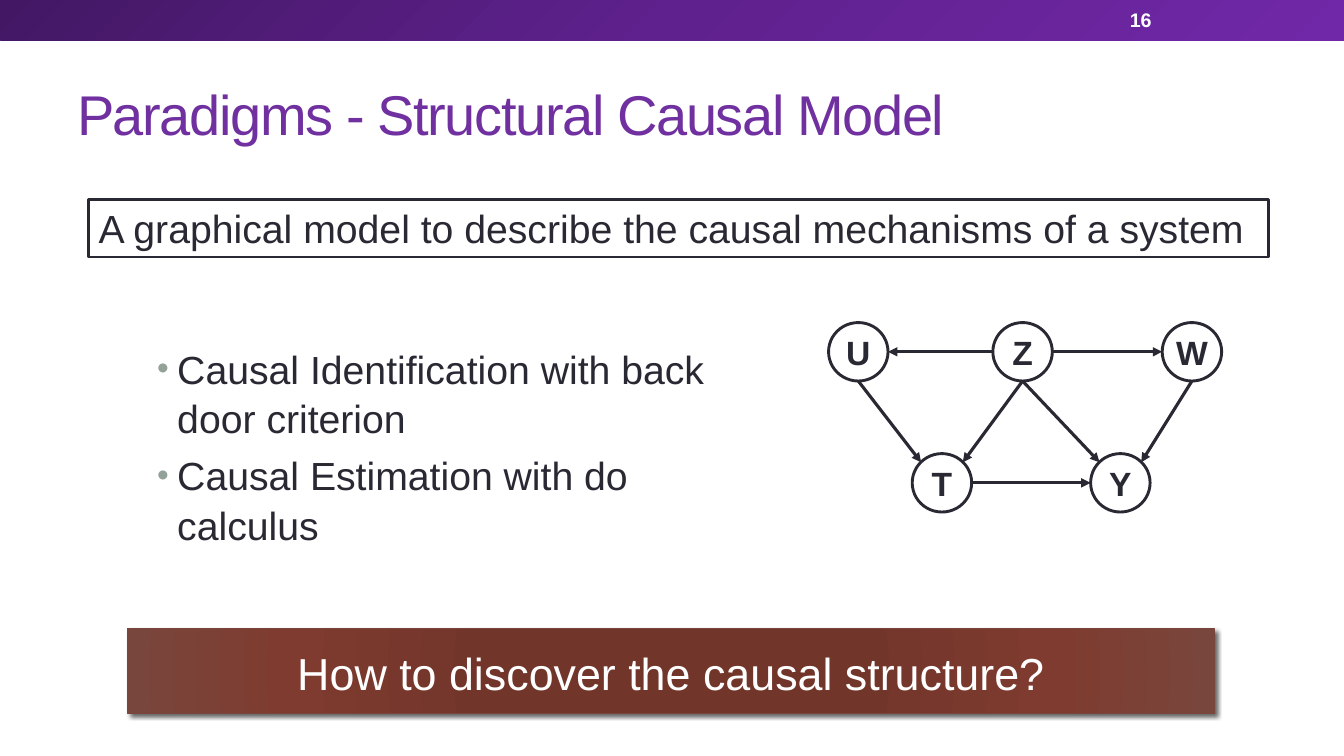
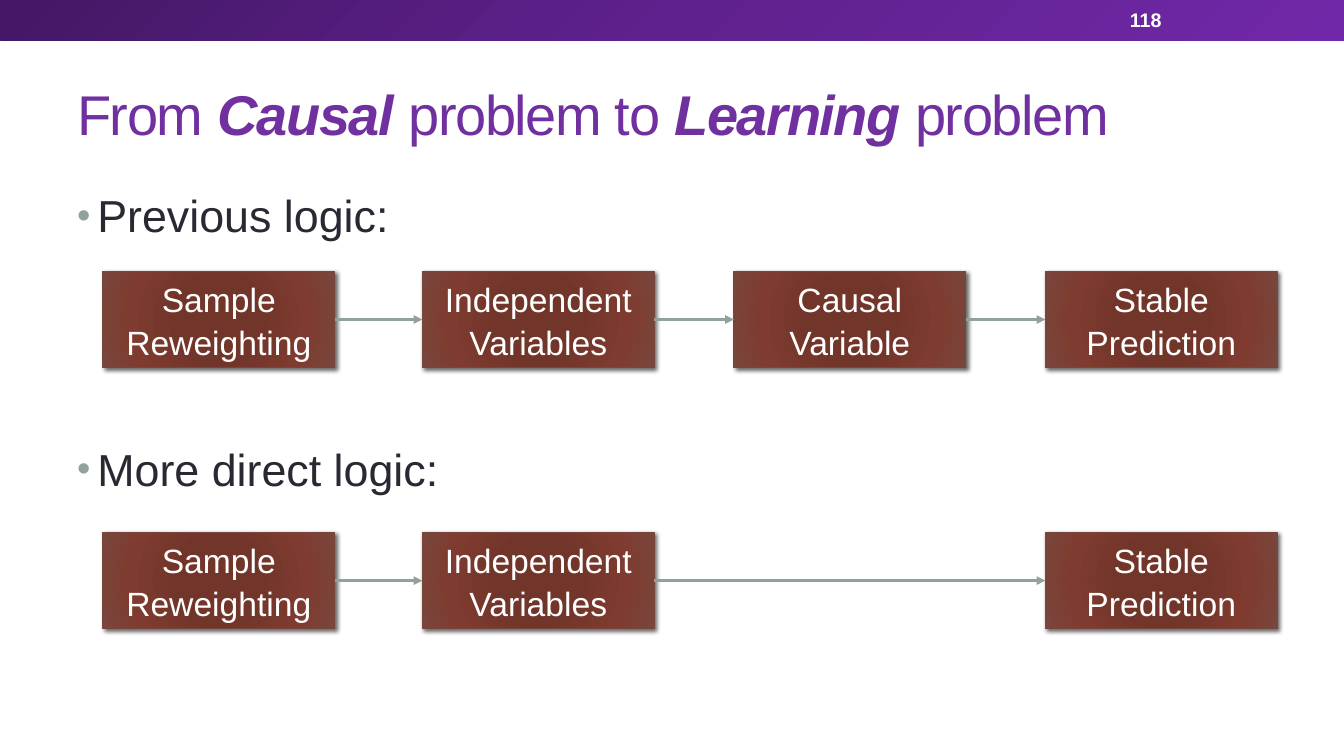
from pptx import Presentation
from pptx import util as u
from pptx.dml.color import RGBColor
from pptx.enum import shapes as s, text as t
from pptx.oxml import parse_xml
from pptx.oxml.ns import nsdecls

COLORS = {
    "title": "7030A0", "ink": "292934", "paper": "FFFFFF", "sage": "93A299", "rust": "79463D",
}
GRADIENTS = {
    "purple": ([(0, "431764"), (50, "5F218E"), (100, "7128A8")],
               '<a:lin ang="2700000" scaled="0"/>'),
    "brick": ([(0, "743327"), (34, "72352A"), (70, "7F3B2F"), (100, "79463D")],
              '<a:path path="circle"><a:fillToRect l="100000" t="100000" r="100000" b="100000"/></a:path>'),
}
SHADOW = (f'<a:effectLst {nsdecls("a")}><a:outerShdw blurRad="38100" dist="25400" dir="2700000">'
          '<a:srgbClr val="000000"><a:alpha val="60000"/></a:srgbClr></a:outerShdw></a:effectLst>')
BULLET = [
    f'<a:buClr {nsdecls("a")}><a:srgbClr val="{COLORS["sage"]}"/></a:buClr>',
    f'<a:buSzPct {nsdecls("a")} val="85000"/>',
    f'<a:buFont {nsdecls("a")} typeface="Arial"/>',
    f'<a:buChar {nsdecls("a")} char="•"/>',
]
SIDES = {
    "left": (0, 0.5), "right": (1, 0.5), "bottom": (0.5, 1),
    "top left": (0.15, 0.15), "top right": (0.85, 0.15),
}

presentation = Presentation()
presentation.slide_width = u.Inches(13.33)
presentation.slide_height = u.Inches(7.5)
column = presentation.slide_width / 40
row = presentation.slide_height / 30


def write(shapes, content, left, top, width, height, kind=None, fill=None, line=None,
          line_width=2.08, shadow=False, size=24, color="ink", bold=False, align=None,
          anchor="MIDDLE", margin=0.1, bullet=False, gap=0, leading=None, tracking=None):
    frame = [round(left * column), round(top * row), round(width * column), round(height * row)]
    if kind:
        shape = shapes.add_shape(s.MSO_SHAPE[kind], *frame)
        if fill in GRADIENTS:
            stops, direction = GRADIENTS[fill]
            marks = "".join(f'<a:gs pos="{share * 1000}"><a:srgbClr val="{tint}"/></a:gs>'
                            for share, tint in stops)
            shape._element.spPr.insert(2, parse_xml(
                f'<a:gradFill {nsdecls("a")} rotWithShape="1"><a:gsLst>{marks}</a:gsLst>{direction}</a:gradFill>'))
        else:
            shape.fill.solid()
            shape.fill.fore_color.rgb = RGBColor.from_string(COLORS[fill])
        if line:
            shape.line.color.rgb = RGBColor.from_string(COLORS[line])
            shape.line.width = u.Pt(line_width)
        else:
            shape.line.fill.background()
        if shadow:
            shape._element.spPr.append(parse_xml(SHADOW))
        else:
            shape.shadow.inherit = False
    else:
        shape = shapes.add_textbox(*frame)
    body = shape.text_frame
    body.word_wrap = True
    body.vertical_anchor = t.MSO_ANCHOR[anchor]
    body.margin_left = body.margin_right = u.Inches(margin)
    body.margin_top = body.margin_bottom = u.Inches(margin / 2)
    for number, words in enumerate(content.split("\n")):
        paragraph = body.add_paragraph() if number else body.paragraphs[0]
        paragraph.alignment = t.PP_ALIGN[align or "LEFT"]
        if leading:
            paragraph.line_spacing = leading
        if number and gap:
            paragraph.space_before = u.Pt(gap)
        if bullet:
            properties = paragraph._p.get_or_add_pPr()
            properties.set("marL", str(u.Inches(0.2)))
            properties.set("indent", str(u.Inches(-0.2)))
            for mark in BULLET:
                properties.append(parse_xml(mark))
        for part, piece in enumerate(words.split("*")):
            if not piece:
                continue
            run = paragraph.add_run()
            run.text = piece
            run.font.name = "Arial"
            run.font.size = u.Pt(size)
            run.font.color.rgb = RGBColor.from_string(COLORS[color])
            run.font.bold = bold or part % 2 == 1
            run.font.italic = part % 2 == 1
            if tracking:
                run.font._element.set("spc", str(tracking * 100))
    return shape


def link(shapes, start, start_side, end, end_side, color, width):
    points = []
    for shape, side in ((start, start_side), (end, end_side)):
        across, down = SIDES[side]
        points += [round(shape.left + across * shape.width), round(shape.top + down * shape.height)]
    connector = shapes.add_connector(s.MSO_CONNECTOR.STRAIGHT, *points)
    connector.line.color.rgb = RGBColor.from_string(COLORS[color])
    connector.line.width = u.Pt(width)
    connector.line._get_or_add_ln().append(parse_xml(f'<a:tailEnd {nsdecls("a")} type="triangle"/>'))
    connector._element.spPr.append(parse_xml(f'<a:effectLst {nsdecls("a")}/>'))


slides = []
for page, title in (
    ("16", "Paradigms - Structural Causal Model"),
    ("118", "From *Causal* problem to *Learning* problem"),
):
    slide = presentation.slides.add_slide(presentation.slide_layouts[6])
    write(slide.shapes, "", 0, 0, 40, 1.6, kind="RECTANGLE", fill="purple")
    write(slide.shapes, page, 33.33, 0.08, 4.68, 1.44, size=14, color="paper", bold=True)
    write(slide.shapes, title, 2, 2.32, 36, 4.32, size=40, color="title", tracking=-1)
    slides.append(slide)
model_slide, logic_slide = slides

bullets = {"size": 28, "anchor": "TOP", "bullet": True, "leading": 1.05}
brick = {"kind": "RECTANGLE", "fill": "brick", "line": "rust", "line_width": 0.75,
         "shadow": True, "color": "paper", "align": "CENTER", "leading": 1.05}

write(model_slide.shapes, "A graphical model to describe the causal mechanisms of a system",
      2.64, 7.92, 35.1, 2.28, kind="RECTANGLE", fill="paper", line="ink", size=28)
write(model_slide.shapes, "Causal Identification with back door criterion\nCausal Estimation with do calculus",
      4.38, 13.4, 18.87, 8, gap=5.6, **bullets)
write(model_slide.shapes, "How to discover the causal structure?",
      3.81, 24.96, 32.34, 3.36, **{**brick, "size": 32})

graph = model_slide.shapes.add_group_shape().shapes
nodes = {}
for name, left, top in (
    ("U", 24.66, 12.8), ("Z", 29.55, 12.8), ("W", 34.59, 12.8), ("T", 27.15, 18), ("Y", 32.46, 18),
):
    nodes[name] = write(graph, name, left, top, 1.77, 2.32, kind="OVAL", fill="paper", line="ink",
                        bold=True, align="CENTER", margin=0)
for start, start_side, end, end_side in (
    ("Z", "left", "U", "right"), ("Z", "right", "W", "left"), ("T", "right", "Y", "left"),
    ("U", "bottom", "T", "top left"), ("Z", "bottom", "T", "top right"),
    ("Z", "bottom", "Y", "top left"), ("W", "bottom", "Y", "top right"),
):
    link(graph, nodes[start], start_side, nodes[end], end_side, "ink", 2.25)

write(logic_slide.shapes, "Previous logic:\nMore direct logic:", 2, 7.16, 36, 21.32,
      gap=141, **{**bullets, "size": 32})
steps = {"Sample Reweighting": 3.06}
for position, label in enumerate(("Independent Variables", "Causal Variable", "Stable Prediction")):
    steps[label] = 12.57 + position * 9.27
for top, skipped in ((10.76, None), (21.12, "Causal Variable")):
    chain = [write(logic_slide.shapes, label, left, top, 6.9, 3.84, **brick)
             for label, left in steps.items() if label != skipped]
    for start, end in zip(chain, chain[1:]):
        link(logic_slide.shapes, start, "right", end, "left", "sage", 2.08)

presentation.save("out.pptx")
